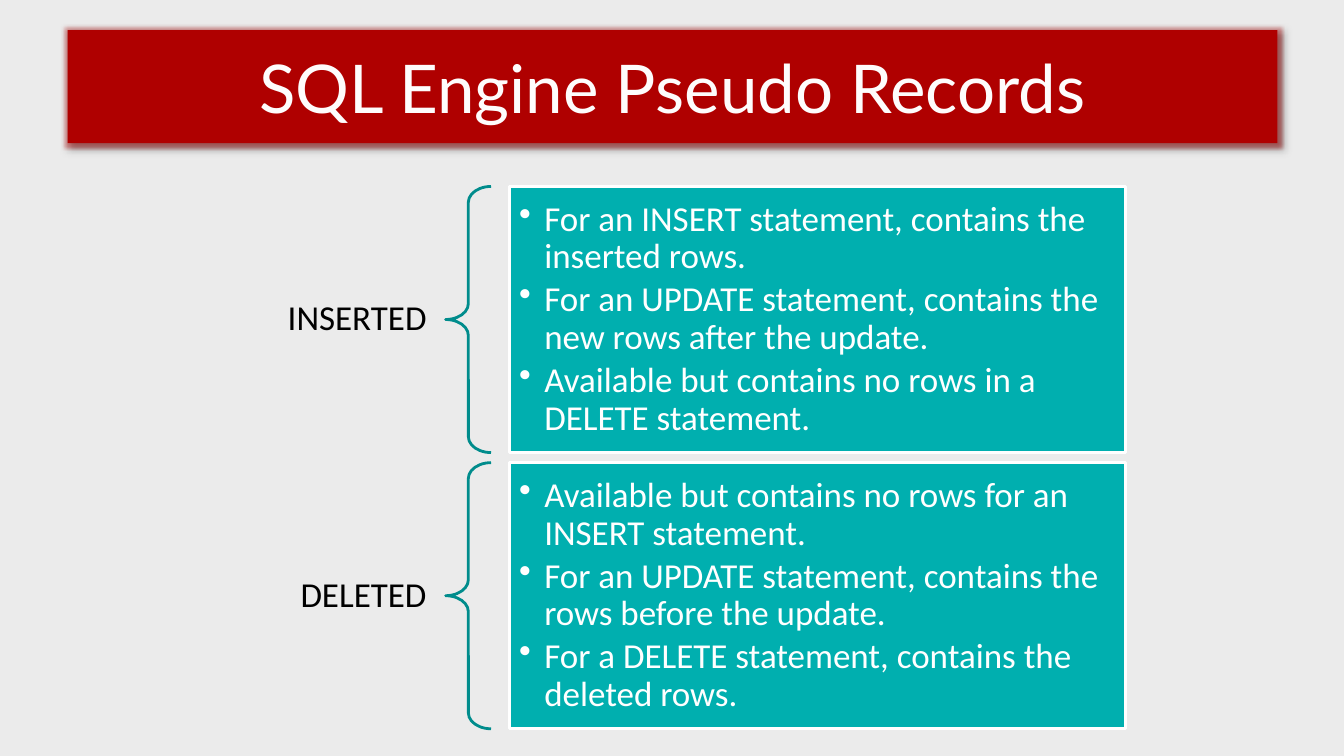
from pptx import Presentation
from pptx.dml.color import RGBColor
from pptx.enum.shapes import MSO_SHAPE
from pptx.enum.text import MSO_ANCHOR, MSO_AUTO_SIZE, PP_ALIGN
from pptx.oxml import parse_xml
from pptx.oxml.ns import nsdecls
from pptx.util import Inches, Pt

PAPER = RGBColor(0xEB, 0xEB, 0xEB)
RED = RGBColor(0xAF, 0x00, 0x00)
CREAM = RGBColor(0xFE, 0xFC, 0xFC)
TEAL = RGBColor(0x00, 0xAF, 0xAF)
DARK = RGBColor(0x00, 0x8C, 0x8C)
WHITE = RGBColor(0xFF, 0xFF, 0xFF)
BLACK = RGBColor(0x00, 0x00, 0x00)

RECORDS = [
    ("INSERTED", [
        "For an INSERT statement, contains the inserted rows.",
        "For an UPDATE statement, contains the new rows after the update.",
        "Available but contains no rows in a DELETE statement."]),
    ("DELETED", [
        "Available but contains no rows for an INSERT statement.",
        "For an UPDATE statement, contains the rows before the update.",
        "For a DELETE statement, contains the deleted rows."]),
]

# Columns and rows, in inches
LABEL, BRACE, PANEL = (2.17, 2.25), (4.42, 0.45), (5.05, 6.11)
TOP, HIGH, GAP = 1.85, 2.64, 0.1


def write(para, text, font, size, color):
    run = para.add_run()
    run.text = text
    run.font.name = font
    run.font.size = Pt(size)
    run.font.color.rgb = color
    return run


def set_frame(frame, side, edge):
    frame.word_wrap = True
    frame.auto_size = MSO_AUTO_SIZE.NONE
    frame.vertical_anchor = MSO_ANCHOR.MIDDLE
    frame.margin_left = frame.margin_right = Inches(side)
    frame.margin_top = frame.margin_bottom = Inches(edge)


deck = Presentation()
deck.slide_width, deck.slide_height = Inches(13.33), Inches(7.5)
slide = deck.slides.add_slide(deck.slide_layouts[5])
slide.background.fill.solid()
slide.background.fill.fore_color.rgb = PAPER
shapes = slide.shapes

# Title banner with glow and shadow
title = shapes.title
title.left, title.top = Inches(0.67), Inches(0.3)
title.width, title.height = Inches(12), Inches(1.12)
title.fill.solid()
title.fill.fore_color.rgb = RED
title._element.spPr.append(parse_xml(
    f'<a:effectLst {nsdecls("a")}>'
    f'<a:glow rad="{Pt(5)}"><a:srgbClr val="{RED}"><a:alpha val="40000"/></a:srgbClr></a:glow>'
    f'<a:outerShdw blurRad="{Pt(4)}" dist="{Pt(3)}" dir="2700000" algn="tl" rotWithShape="0">'
    '<a:srgbClr val="000000"><a:alpha val="40000"/></a:srgbClr></a:outerShdw></a:effectLst>'))
frame = title.text_frame
set_frame(frame, 0.1, 0.05)
frame.word_wrap = False
para = frame.paragraphs[0]
para.alignment = PP_ALIGN.CENTER
run = write(para, "SQL Engine Pseudo Records", "Lato", 48, CREAM)
run.font._element.insert(0, parse_xml(
    f'<a:ln {nsdecls("a")} w="{Pt(0.75)}"><a:solidFill>'
    f'<a:srgbClr val="{WHITE}"/></a:solidFill></a:ln>'))

for row, (name, points) in enumerate(RECORDS):
    top = TOP + row * (HIGH + GAP)

    # Record name, centred on its row
    tall = 0.54
    label = shapes.add_textbox(Inches(LABEL[0]), Inches(top + (HIGH - tall) / 2),
                               Inches(LABEL[1]), Inches(tall))
    set_frame(label.text_frame, 0.19, 0.07)
    para = label.text_frame.paragraphs[0]
    para.alignment = PP_ALIGN.RIGHT
    para.line_spacing = 0.9
    write(para, name, "Calibri", 25, BLACK)

    # Brace
    brace = shapes.add_shape(MSO_SHAPE.LEFT_BRACE, Inches(BRACE[0]), Inches(top),
                             Inches(BRACE[1]), Inches(HIGH))
    brace.shadow.inherit = False
    brace.adjustments[0], brace.adjustments[1] = 0.35, 0.5
    brace.fill.background()
    brace.line.color.rgb = DARK
    brace.line.width = Pt(2)

    # Panel with bullets
    panel = shapes.add_shape(MSO_SHAPE.RECTANGLE, Inches(PANEL[0]), Inches(top),
                             Inches(PANEL[1]), Inches(HIGH))
    panel.shadow.inherit = False
    panel.fill.solid()
    panel.fill.fore_color.rgb = TEAL
    panel.line.color.rgb = WHITE
    panel.line.width = Pt(2)
    frame = panel.text_frame
    set_frame(frame, 0.1, 0.1)
    for spot, point in enumerate(points):
        para = frame.add_paragraph() if spot else frame.paragraphs[0]
        para.alignment = PP_ALIGN.LEFT
        para.line_spacing = 0.9
        para.space_after = Pt(3.75)
        props = para._p.get_or_add_pPr()
        props.set("marL", str(Inches(0.25)))
        props.set("indent", str(-Inches(0.25)))
        props.append(parse_xml(f'<a:buChar {nsdecls("a")} char="•"/>'))
        write(para, point, "Calibri", 25, WHITE)

deck.save("out.pptx")
